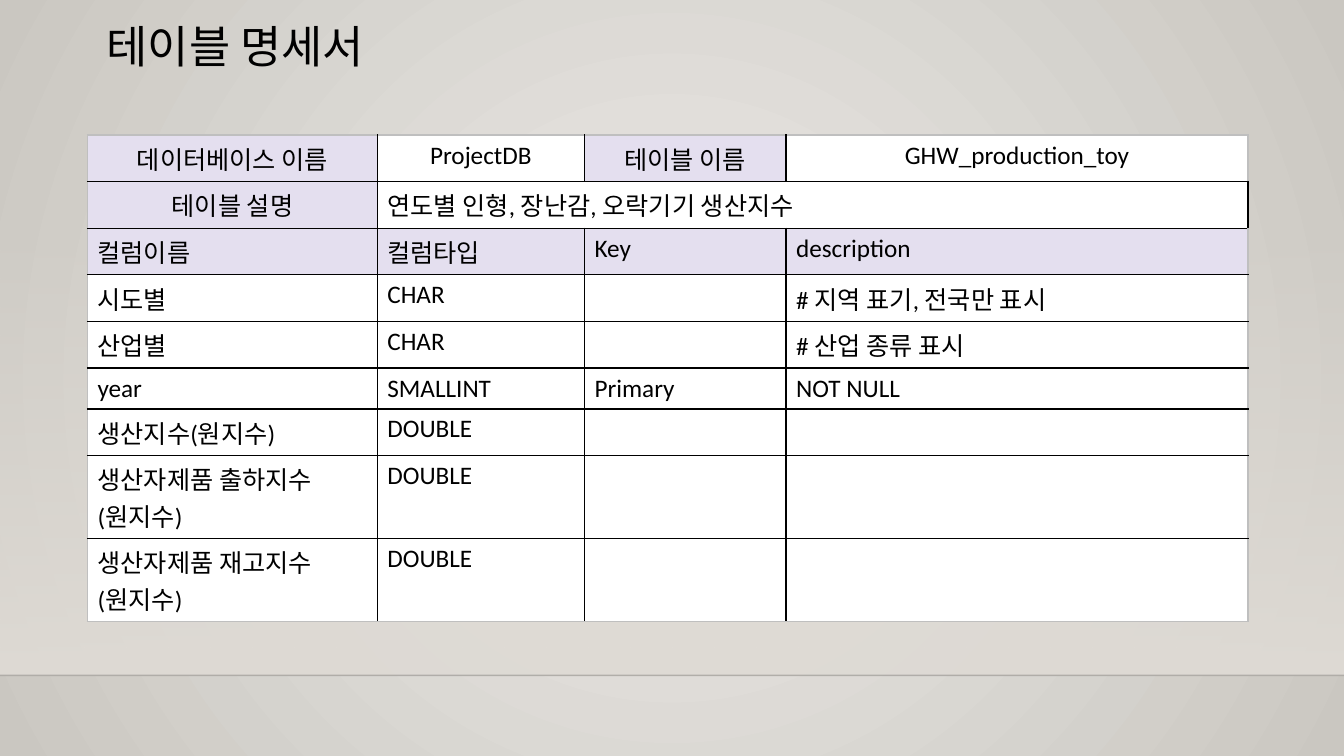
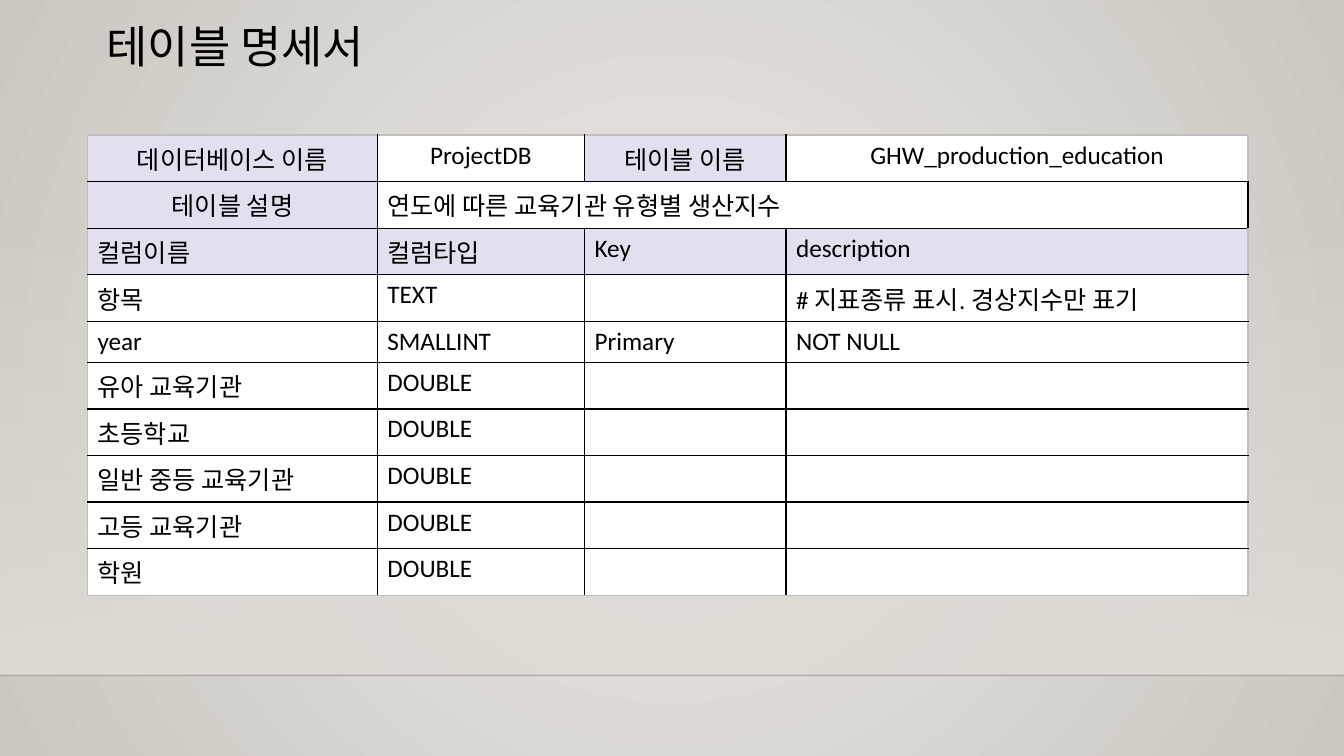
from pptx import Presentation
from pptx.dml.color import RGBColor
from pptx.enum import shapes, text
from pptx.oxml import parse_xml
from pptx.oxml.ns import nsdecls, qn
from pptx.util import Pt

# Shared look
FONT = "Calibri"
BLACK, WHITE, LAVENDER, EDGE_GREY = "000000", "FFFFFF", "E4DFEF", "BFBFBF"
GLOW, SHADE, BAND = "ECEAE7", "CAC7C1", "DFDBD5"
SLIDE_WIDTH, SLIDE_HEIGHT = 960, 540
BAND_TOP, FLOOR = 159, 482.4
TABLE_LEFT, TABLE_TOP, ROW_HEIGHT = 62.5, 96.5, 29
COLUMN_WIDTHS = [207, 148, 144, 330]

# Content
TITLE = "테이블 명세서"
COLUMN_NAMES = ["컬럼이름", "컬럼타입", "Key", "description"]
YEAR = ["year", "SMALLINT", "Primary", "NOT NULL"]


def double(name):
    return [name, "DOUBLE", "", ""]


TABLES = [
    ("GHW_production_toy", "연도별 인형, 장난감, 오락기기 생산지수", [
        ["시도별", "CHAR", "", "# 지역 표기, 전국만 표시"],
        ["산업별", "CHAR", "", "# 산업 종류 표시"],
        YEAR,
        double("생산지수(원지수)"),
        double("생산자제품 출하지수\n(원지수)"),
        double("생산자제품 재고지수\n(원지수)"),
    ]),
    ("GHW_production_education", "연도에 따른 교육기관 유형별 생산지수", [
        ["항목", "TEXT", "", "# 지표종류 표시. 경상지수만 표기"],
        YEAR,
        *map(double, ["유아 교육기관", "초등학교", "일반 중등 교육기관",
                      "고등 교육기관", "학원"]),
    ]),
]


def color(value):
    return RGBColor.from_string(value)


def set_gradient(fill, start, end):
    fill.gradient()
    for stop, value in zip(fill.gradient_stops, (start, end)):
        stop.color.rgb = color(value)


def set_first_alpha(shape, percent):
    """Set the opacity of the first colour in a shape."""
    first = next(shape.element.iter(qn("a:srgbClr")))
    first.append(parse_xml(f'<a:alpha {nsdecls("a")} val="{percent * 1000}"/>'))


def format_text(text_frame, size, alignment):
    for paragraph in text_frame.paragraphs:
        paragraph.alignment = alignment
        for run in paragraph.runs:
            run.font.name = FONT
            run.font.size = Pt(size)
            run.font.color.rgb = color(BLACK)


def set_borders(cell, colors):
    """Draw the left, right, top and bottom borders, in that order."""
    properties = cell._tc.get_or_add_tcPr()
    for side, value in zip("LRTB", colors):
        properties.append(parse_xml(
            f'<a:ln{side} {nsdecls("a")} w="{Pt(1)}"><a:solidFill>'
            f'<a:srgbClr val="{value}"/></a:solidFill></a:ln{side}>'))


# Layout: radial background, fading band and floor line
def style_layout(layout, slide):
    set_gradient(layout.background.fill, GLOW, SHADE)
    linear = next(layout.element.iter(qn("a:lin")))
    linear.getparent().replace(linear, parse_xml(
        f'<a:path {nsdecls("a")} path="circle">'
        '<a:fillToRect l="50000" t="50000" r="50000" b="50000"/></a:path>'))

    for placeholder in list(layout.placeholders)[1:]:
        placeholder.element.getparent().remove(placeholder.element)
    title = layout.placeholders[0]
    title.left, title.top, title.width, title.height = map(Pt, (69, 14, 756, 83))

    band = slide.shapes.add_shape(
        shapes.MSO_SHAPE.RECTANGLE, 0, Pt(BAND_TOP),
        Pt(SLIDE_WIDTH), Pt(FLOOR - BAND_TOP))
    band.shadow.inherit = False
    band.line.fill.background()
    set_gradient(band.fill, BAND, BAND)
    band.fill.gradient_angle = 270
    set_first_alpha(band, 0)

    floor = slide.shapes.add_connector(
        shapes.MSO_CONNECTOR.STRAIGHT, 0, Pt(FLOOR), Pt(SLIDE_WIDTH), Pt(FLOOR))
    floor.line.width = Pt(1)
    floor.line.color.rgb = color(BLACK)
    set_first_alpha(floor, 20)
    floor.element.spPr.append(parse_xml(f'<a:effectLst {nsdecls("a")}/>'))

    for index, shape in enumerate((band, floor)):
        layout.shapes.element.insert(2 + index, shape.element)


def add_title(slide):
    text_frame = slide.shapes.title.text_frame
    text_frame.text = TITLE
    text_frame.word_wrap = True
    text_frame.vertical_anchor = text.MSO_ANCHOR.TOP
    text_frame.paragraphs[0].line_spacing = 0.9
    format_text(text_frame, 32, text.PP_ALIGN.LEFT)


def add_specification(slide, name, description, columns):
    rows = [["데이터베이스 이름", "ProjectDB", "테이블 이름", name],
            ["테이블 설명", description, "", ""],
            COLUMN_NAMES, *columns]
    last_row, last_column = len(rows) - 1, len(COLUMN_WIDTHS) - 1
    table = slide.shapes.add_table(
        len(rows), len(COLUMN_WIDTHS), Pt(TABLE_LEFT), Pt(TABLE_TOP),
        Pt(sum(COLUMN_WIDTHS)), Pt(ROW_HEIGHT * len(rows))).table
    table.first_row = table.horz_banding = False
    for column, width in zip(table.columns, COLUMN_WIDTHS):
        column.width = Pt(width)
    table.cell(1, 1).merge(table.cell(1, last_column))

    labels = {(0, 0), (0, 2), (1, 0)} | {(2, c) for c in range(last_column + 1)}
    for r, row in enumerate(rows):
        for c, value in enumerate(row):
            cell = table.cell(r, c)
            outer = (c == 0, c == last_column, r == 0, r == last_row)
            set_borders(cell, [EDGE_GREY if edge else BLACK for edge in outer])
            cell.fill.solid()
            cell.fill.fore_color.rgb = color(LAVENDER if (r, c) in labels else WHITE)
            if value:
                centred = r == 0 or (r, c) == (1, 0)
                cell.text_frame.text = value
                format_text(cell.text_frame, 18,
                            text.PP_ALIGN.CENTER if centred else text.PP_ALIGN.LEFT)


def main():
    presentation = Presentation()
    presentation.slide_width, presentation.slide_height = Pt(SLIDE_WIDTH), Pt(SLIDE_HEIGHT)
    layout = presentation.slide_layouts[5]
    slides = [presentation.slides.add_slide(layout) for _ in TABLES]
    style_layout(layout, slides[0])
    for slide, specification in zip(slides, TABLES):
        add_title(slide)
        add_specification(slide, *specification)
    presentation.save("out.pptx")


if __name__ == "__main__":
    main()
